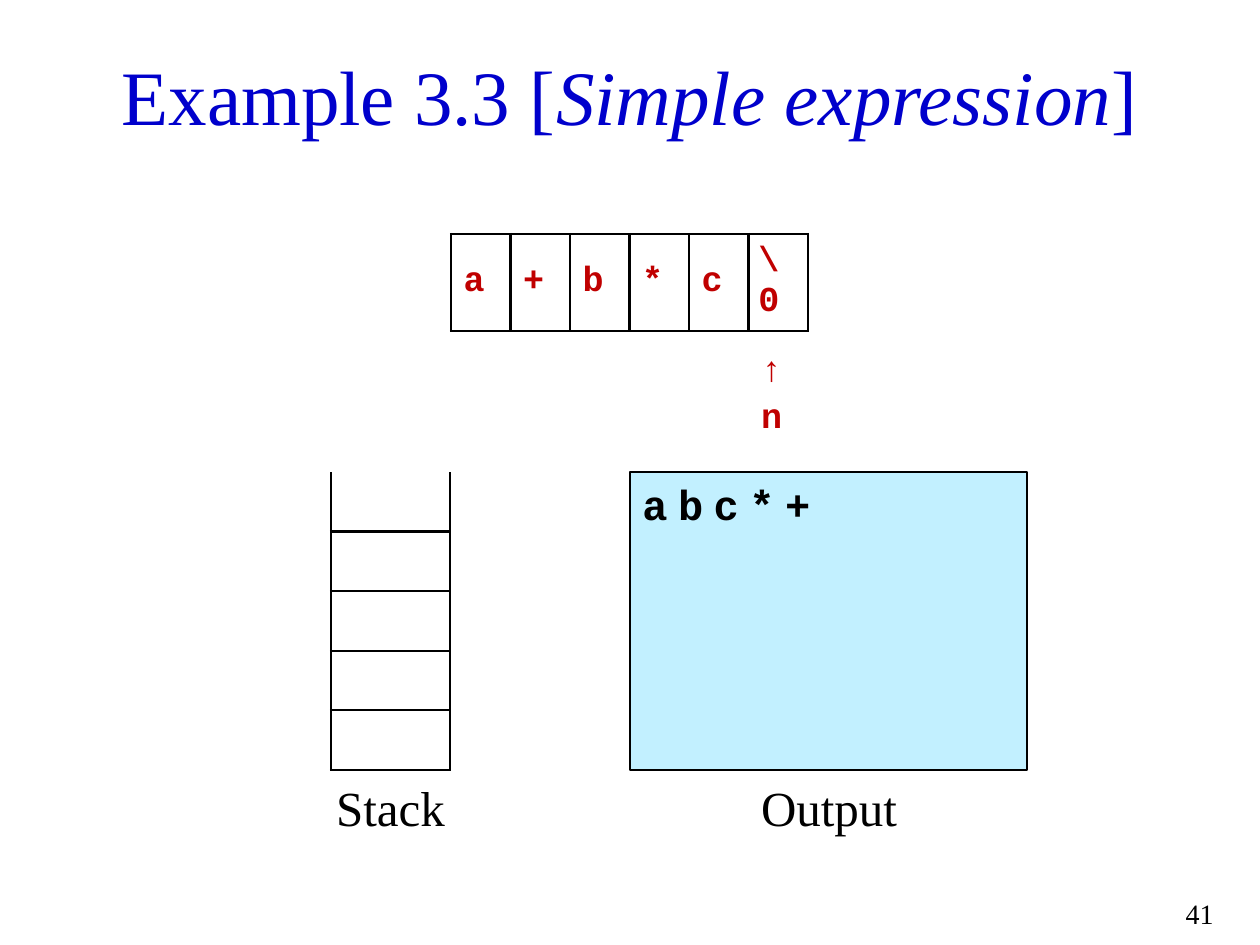
from lxml import etree
from pptx import Presentation
from pptx.dml.color import RGBColor
from pptx.enum.shapes import MSO_SHAPE
from pptx.enum.text import MSO_ANCHOR, PP_ALIGN
from pptx.oxml.ns import qn
from pptx.util import Emu, Pt

RECTANGLE = MSO_SHAPE.RECTANGLE
TOP, MIDDLE = MSO_ANCHOR.TOP, MSO_ANCHOR.MIDDLE
LEFT, CENTER, RIGHT = PP_ALIGN.LEFT, PP_ALIGN.CENTER, PP_ALIGN.RIGHT

PX_PER_INCH = 126
COLORS = {"title": "0000CC", "token": "C00000", "text": "000000",
          "line": "000000", "output": "C2F0FF"}
SERIF, MONO = "Times New Roman", "Courier New"
LINE_WIDTH = Pt(1.5)

TITLE = {"name": SERIF, "size": Pt(44), "color": "title"}
LABEL = {"name": SERIF, "size": Pt(28), "color": "text"}
NUMBER = {"name": SERIF, "size": Pt(16), "color": "text"}
TOKEN = {"name": MONO, "size": Pt(20), "bold": True, "color": "token"}
RESULT = {"name": MONO, "size": Pt(24), "bold": True, "color": "text"}


def px(value):
    return Emu(round(value * 914400 / PX_PER_INCH))


def rgb(key):
    return RGBColor.from_string(COLORS[key])


def add_run(paragraph, text, style):
    run = paragraph.add_run()
    run.text = text
    for name, value in style.items():
        if name == "color":
            run.font.color.rgb = rgb(value)
        else:
            setattr(run.font, name, value)
    return run


def add_text(slide, box, parts, align, anchor=TOP):
    frame = slide.shapes.add_textbox(*map(px, box)).text_frame
    frame.word_wrap = True
    frame.vertical_anchor = anchor
    paragraph = frame.paragraphs[0]
    paragraph.alignment = align
    for text, style in parts:
        add_run(paragraph, text, style)


def set_borders(cell, sides):
    properties = cell._tc.get_or_add_tcPr()
    for side in "LRTB":
        line = etree.SubElement(properties, qn(f"a:ln{side}"), w=str(LINE_WIDTH))
        if side in sides:
            fill = etree.SubElement(line, qn("a:solidFill"))
            etree.SubElement(fill, qn("a:srgbClr"), val=COLORS["line"])
        else:
            etree.SubElement(line, qn("a:noFill"))


def add_grid(slide, box, row_count, column_count, sides_by_row):
    left, top, width, height = map(px, box)
    table = slide.shapes.add_table(
        row_count, column_count, left, top, width, height).table
    table.first_row = table.horz_banding = False
    for row, sides in zip(table.rows, sides_by_row):
        row.height = height // row_count
        for cell in row.cells:
            set_borders(cell, sides)
            cell.fill.background()
    for column in table.columns:
        column.width = width // column_count
    return table


def fill_cell(cell, text, **settings):
    for name, value in settings.items():
        setattr(cell, name, value)
    add_run(cell.text_frame.paragraphs[0], text, TOKEN)


def add_expression(slide):
    tokens = ["a", "+", "b", "*", "c", "\\0"]
    last = len(tokens) - 1
    table = add_grid(slide, (451, 234, 357, 178), 3, len(tokens), ["LRTB", "T", ""])
    for column, token in enumerate(tokens):
        fill_cell(table.cell(0, column), token, vertical_anchor=MIDDLE)
    end = table.cell(0, last)
    end.margin_left = end.margin_right = px(10)
    # Pointer to the current token
    fill_cell(table.cell(1, last), "↑", vertical_anchor=MIDDLE,
              margin_top=px(20), margin_bottom=0)
    fill_cell(table.cell(2, last), "n")


def add_output(slide, box, text):
    shape = slide.shapes.add_shape(RECTANGLE, *map(px, box))
    shape.shadow.inherit = False
    shape.fill.solid()
    shape.fill.fore_color.rgb = rgb("output")
    shape.line.color.rgb = rgb("line")
    shape.line.width = LINE_WIDTH
    shape.text_frame.vertical_anchor = TOP
    paragraph = shape.text_frame.paragraphs[0]
    paragraph.alignment = LEFT
    run = add_run(paragraph, text, RESULT)
    run.font._element.set("spc", "600")  # letter spacing of 6 pt


def main():
    presentation = Presentation()
    presentation.slide_width, presentation.slide_height = px(1260), px(945)
    slide = presentation.slides.add_slide(presentation.slide_layouts[6])

    # Title and slide number
    title = [("Example 3.3 [", TITLE),
             ("Simple expression", {**TITLE, "italic": True}),
             ("]", TITLE)]
    add_text(slide, (54, 35, 1151, 119), title, CENTER, MIDDLE)
    add_text(slide, (1147, 890, 79, 40), [("41", NUMBER)], RIGHT)

    # Input expression, open-topped stack and output
    add_expression(slide)
    add_grid(slide, (331, 472, 119, 298), 5, 1, ["LRB"] + ["LRTB"] * 4)
    add_output(slide, (630, 472, 397, 298), "abc*+")

    # Captions
    add_text(slide, (730, 771, 198, 79), [("Output", LABEL)], CENTER)
    add_text(slide, (311, 771, 159, 79), [("Stack", LABEL)], CENTER)

    presentation.save("out.pptx")


if __name__ == "__main__":
    main()
